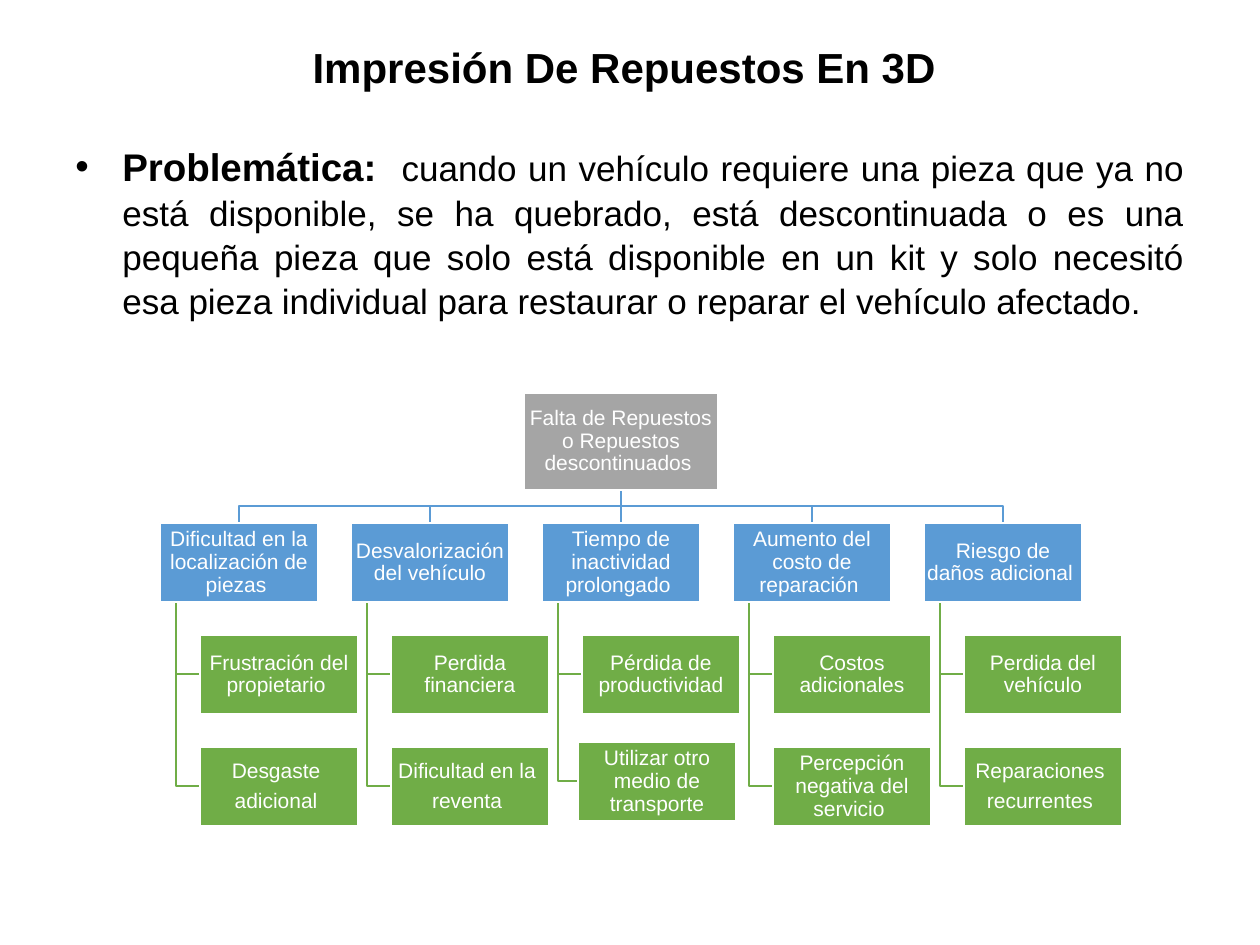
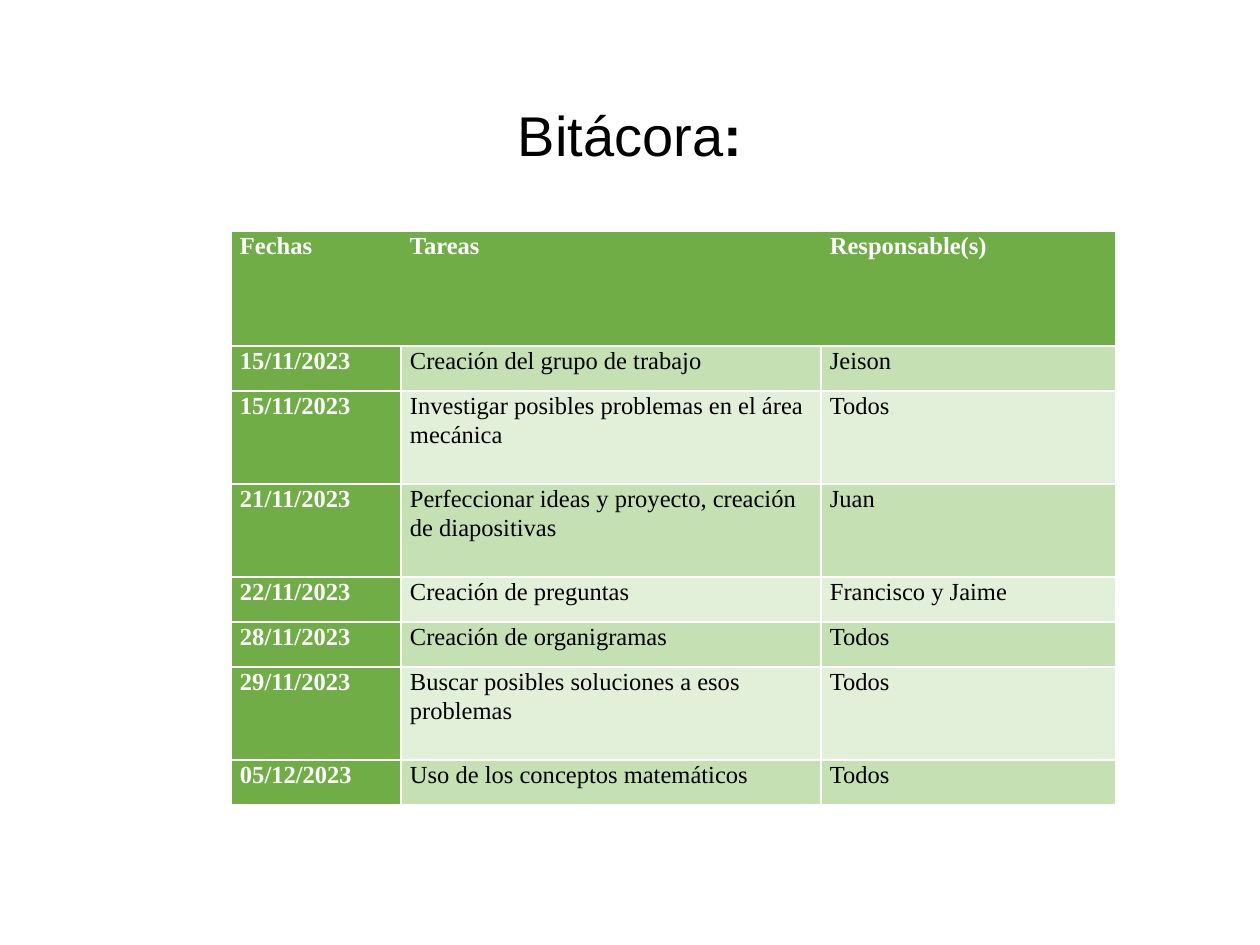
from lxml.etree import SubElement
from pptx import Presentation
from pptx.dml.color import RGBColor
from pptx.enum.shapes import MSO_CONNECTOR as Wire, MSO_SHAPE as Preset
from pptx.enum.text import MSO_ANCHOR as Anchor, PP_ALIGN as Align
from pptx.oxml.ns import qn
from pptx.util import Inches, Pt

PX = Inches(1) / 126
BLACK = RGBColor(0x00, 0x00, 0x00)
WHITE = RGBColor(0xFF, 0xFF, 0xFF)
GRAY = RGBColor(0xA5, 0xA5, 0xA5)
BLUE = RGBColor(0x5B, 0x9B, 0xD5)
GREEN = RGBColor(0x70, 0xAD, 0x47)
LIGHT = RGBColor(0xC5, 0xE0, 0xB3)
PALE = RGBColor(0xE2, 0xEF, 0xD9)
SANS, SERIF = "Arial", "Times New Roman"

ROOT = ["Falta de Repuestos o Repuestos descontinuados "]
# Each branch: its head, then its leaves as lists of paragraphs.
TREE = [
    (["Dificultad en la localización de piezas "],
     [["Frustración del propietario "], ["Desgaste ", "adicional "]]),
    (["Desvalorización del vehículo"],
     [["Perdida financiera"], ["Dificultad en la ", "reventa "]]),
    (["Tiempo de inactividad prolongado "],
     [["Pérdida de productividad"], ["Utilizar otro medio de transporte"]]),
    (["Aumento del costo de reparación "],
     [["Costos adicionales"], ["Percepción negativa del servicio "]]),
    (["Riesgo de daños adicional "],
     [["Perdida del vehículo"], ["Reparaciones ", "recurrentes "]]),
]
NUDGE = {(2, 1): (-4, -5)}  # branch, leaf: offset from the grid

LOG = [
    ("Fechas", "Tareas", "Responsable(s)"),
    ("15/11/2023", "Creación del grupo de trabajo", "Jeison"),
    ("15/11/2023", "Investigar posibles problemas en el área mecánica", "Todos"),
    ("21/11/2023", "Perfeccionar ideas y proyecto, creación de diapositivas", "Juan"),
    ("22/11/2023", "Creación de preguntas", "Francisco y Jaime"),
    ("28/11/2023", "Creación de organigramas", "Todos"),
    ("29/11/2023", "Buscar posibles soluciones a esos problemas", "Todos"),
    ("05/12/2023", "Uso de los conceptos matemáticos", "Todos"),
]
COLS = (170, 420, 295)
ROWS = (115, 45, 93, 93, 45, 45, 93, 45)


def px(*nums):
    return [round(n * PX) for n in nums]


def add_run(para, text, size, color=BLACK, bold=False, face=SANS):
    run = para.add_run()
    run.text = text
    font = run.font
    font.name, font.size, font.bold = face, Pt(size), bold
    font.color.rgb = color


def set_title(slide, box, size, *runs):
    title = slide.shapes.title
    title.left, title.top, title.width, title.height = px(*box)
    frame = title.text_frame
    frame.vertical_anchor = Anchor.MIDDLE
    para = frame.paragraphs[0]
    para.alignment = Align.CENTER
    for text, bold in runs:
        add_run(para, text, size, bold=bold)


def add_body(slide, box, head, text):
    frame = slide.shapes.add_textbox(*px(*box)).text_frame
    frame.word_wrap = True
    frame.margin_top = px(9)[0]
    para = frame.paragraphs[0]
    para.alignment = Align.JUSTIFY
    para.line_spacing = 1.05
    props = para._p.get_or_add_pPr()
    indent = px(47)[0]
    props.set("marL", str(indent))
    props.set("indent", str(-indent))
    SubElement(props, qn("a:buFont")).set("typeface", SANS)
    SubElement(props, qn("a:buChar")).set("char", "•")
    add_run(para, head, 22, bold=True)
    add_run(para, text, 20)


def add_wire(slide, color, *points):
    """Draw a straight connector for two points, an open bent line for more."""
    shapes = slide.shapes
    if len(points) == 2:
        wire = shapes.add_connector(Wire.STRAIGHT, *px(*points[0], *points[1]))
        SubElement(wire._element.spPr, qn("a:effectLst"))
    else:
        pen = shapes.build_freeform(*points[0], scale=PX)
        pen.add_line_segments(points[1:], close=False)
        wire = pen.convert_to_shape()
        wire.fill.background()
        wire.shadow.inherit = False
    wire.line.color.rgb = color
    wire.line.width = Pt(1)


def add_node(slide, box, fill, lines):
    node = slide.shapes.add_shape(Preset.RECTANGLE, *px(*box))
    node.shadow.inherit = False
    node.fill.solid()
    node.fill.fore_color.rgb = fill
    node.line.color.rgb = WHITE
    node.line.width = Pt(1.5)
    frame = node.text_frame
    frame.word_wrap = True
    frame.vertical_anchor = Anchor.MIDDLE
    frame.margin_left = frame.margin_right = px(1)[0]
    frame.margin_top = frame.margin_bottom = px(1)[0]
    for i, text in enumerate(lines):
        para = frame.add_paragraph() if i else frame.paragraphs[0]
        para.alignment = Align.CENTER
        para.line_spacing = 0.9
        para.space_after = Pt(4.2)
        add_run(para, text, 12, WHITE)


def add_tree(slide, box):
    left, top, width, height = box
    wide, high, shift, stem = 158, 79, 40, 16
    root_w, root_h = 194, 97
    pitch = (width - shift - wide) // (len(TREE) - 1)
    mid = left + (pitch * (len(TREE) - 1) + wide) // 2
    row = (height - root_h - 3 * high) // 3 + high
    head_y = top + 130
    bar = (top + root_h + head_y) // 2

    nodes = [((mid - root_w // 2, top, root_w, root_h), GRAY, ROOT)]
    for i, (head, leaves) in enumerate(TREE):
        x = left + i * pitch
        center = x + wide // 2
        start, end = (mid, top + root_h), (center, head_y)
        bend = [] if center == mid else [(mid, bar), (center, bar)]
        add_wire(slide, BLUE, start, *bend, end)
        nodes.append(((x, head_y, wide, high), BLUE, head))
        for j, lines in enumerate(leaves):
            dx, dy = NUDGE.get((i, j), (0, 0))
            leaf_x = x + shift + dx
            leaf_y = head_y + (j + 1) * row + dy
            turn = leaf_y + high // 2
            add_wire(slide, GREEN, (x + stem, head_y + high),
                     (x + stem, turn), (leaf_x, turn))
            nodes.append(((leaf_x, leaf_y, wide, high), GREEN, lines))
    for node in nodes:
        add_node(slide, *node)


def set_edges(cell, plain=()):
    """Give the cell white borders, and none on the plain sides."""
    props = cell._tc.get_or_add_tcPr()
    for side in "LRTB":
        edge = SubElement(props, qn(f"a:ln{side}"), w=str(Pt(1)))
        if side in plain:
            SubElement(edge, qn("a:noFill"))
        else:
            fill = SubElement(edge, qn("a:solidFill"))
            SubElement(fill, qn("a:srgbClr"), val=str(WHITE))


def add_log(slide, left, top):
    box = px(left, top, sum(COLS), sum(ROWS))
    table = slide.shapes.add_table(len(ROWS), len(COLS), *box).table
    for col, width in zip(table.columns, px(*COLS)):
        col.width = width
    for row, height in zip(table.rows, px(*ROWS)):
        row.height = height
    last = len(COLS) - 1
    for r, texts in enumerate(LOG):
        for c, text in enumerate(texts):
            cell = table.cell(r, c)
            strong = r == 0 or c == 0
            inner = {0: "R", last: "L"}.get(c, "LR")
            set_edges(cell, inner if r == 0 else "")
            cell.fill.solid()
            cell.fill.fore_color.rgb = GREEN if strong else LIGHT if r % 2 else PALE
            cell.margin_left = cell.margin_right = px(9)[0]
            cell.margin_top = cell.margin_bottom = 0
            para = cell.text_frame.paragraphs[0]
            para.line_spacing = 1.07
            para.space_after = Pt(8)
            add_run(para, text, 14, WHITE if strong else BLACK, strong, SERIF)


def add_problem(slide):
    set_title(slide, (63, 14, 1134, 106), 24,
              ("Impresión De Repuestos En 3D ", True))
    add_body(slide, (63, 132, 1134, 229), "Problemática:  ",
             "cuando un vehículo requiere una pieza que ya no está disponible, "
             "se ha quebrado, está descontinuada o es una pequeña pieza que solo "
             "está disponible en un kit y solo necesitó esa pieza individual "
             "para restaurar o reparar el vehículo afectado.")
    add_tree(slide, (160, 393, 962, 433))


def add_diary(slide):
    set_title(slide, (63, 87, 1134, 95), 32, ("Bitácora", False), (":", True))
    add_log(slide, 231, 231)


def main():
    deck = Presentation()
    deck.slide_width, deck.slide_height = px(1260, 945)
    for build in (add_problem, add_diary):
        build(deck.slides.add_slide(deck.slide_layouts[5]))
    deck.save("out.pptx")


if __name__ == "__main__":
    main()
